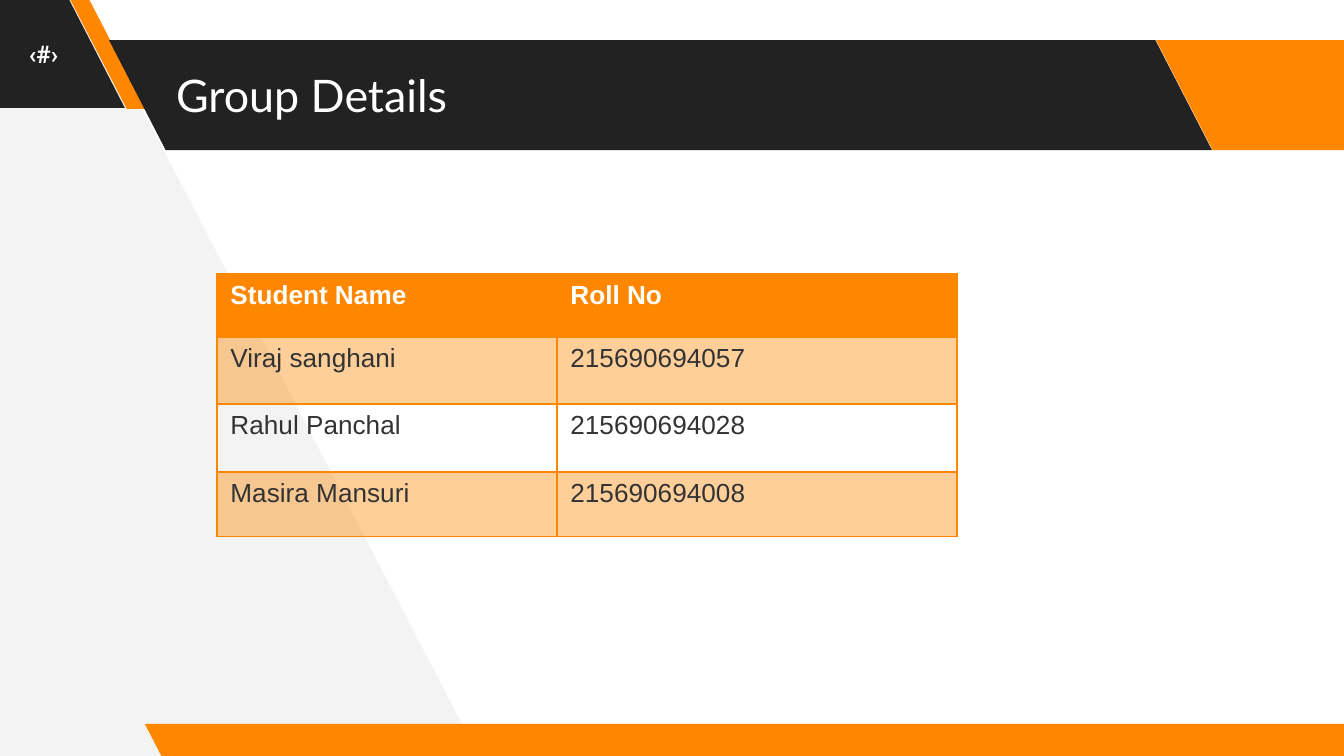
"""Build the group details slide with its banner and student table."""
from pptx import Presentation
from pptx import util as u
from pptx.dml.color import RGBColor
from pptx.enum import shapes, text
from pptx.oxml.ns import qn
from lxml import etree
from dataclasses import dataclass


@dataclass(frozen=True)
class Theme:
    dark: str = "222222"
    accent: str = "FF8700"
    pale: str = "F3F3F3"
    ink: str = "333333"
    white: str = "FFFFFF"
    title: int = 24
    number: int = 13
    body: int = 14
    line: float = 0.75
    tint: int = 40


T = Theme()
PX = 914400 / 134.4
SIZE = (1344, 756)
INSET = 13

TITLE = "Group Details"
NUMBER = "‹#›"
ROWS = [
    ("Student Name", "Roll No"),
    ("Viraj sanghani", "215690694057"),
    ("Rahul Panchal", "215690694028"),
    ("Masira Mansuri", "215690694008"),
]
WEDGE = [(478, 755), (83, -5), (-8, -5), (-3, 761)]
BARS = [
    ((-133, -3, 258, 111), 0.515, T.dark),
    ((70, -1, 76, 110), 0.75, T.accent),
    ((109, 40, 1103, 110), 0.515, T.dark),
    ((1156, 40, 258, 110), 0.515, T.accent),
    ((145, 724, 1230, 34), 0.515, T.accent),
]
TITLE_BOX = (163, 40, 988, 110)
NUMBER_BOX = (0, 0, 87, 108)
TABLE_AT = (217, 274)
COLS = [340, 400]
HEIGHTS = [63, 67, 68, 65]


def px(n):
    return u.Emu(round(n * PX))


def rgb(c):
    return RGBColor.from_string(c)


def paint(shape, color):
    shape.shadow.inherit = False
    shape.fill.solid()
    shape.fill.fore_color.rgb = rgb(color)
    shape.line.fill.background()


def style(frame, face, size, color, bold=False, align=text.PP_ALIGN.LEFT):
    for par in frame.paragraphs:
        par.alignment = align
        for run in par.runs:
            font = run.font
            font.name, font.size, font.bold = face, u.Pt(size), bold
            font.color.rgb = rgb(color)


def label(shape, box, words, *look, **more):
    shape.left, shape.top, shape.width, shape.height = map(px, box)
    frame = shape.text_frame
    frame.text = words
    frame.word_wrap = True
    frame.auto_size = text.MSO_AUTO_SIZE.NONE
    frame.vertical_anchor = text.MSO_ANCHOR.MIDDLE
    frame.margin_left = frame.margin_right = px(INSET)
    frame.margin_top = frame.margin_bottom = px(INSET)
    style(frame, *look, **more)


def border(cell, sides):
    props = cell._tc.get_or_add_tcPr()
    for side in sides:
        line = etree.SubElement(props, qn(f"a:ln{side}"), w=str(u.Pt(T.line)))
        fill = etree.SubElement(line, qn("a:solidFill"))
        etree.SubElement(fill, qn("a:srgbClr"), val=T.accent)


def shade(cell, row):
    if row and row % 2 == 0:
        cell.fill.background()
        return
    cell.fill.solid()
    cell.fill.fore_color.rgb = rgb(T.accent)
    if row:
        color = cell._tc.tcPr.find(".//" + qn("a:solidFill") + "[last()]/" + qn("a:srgbClr"))
        color = cell._tc.tcPr.findall(qn("a:solidFill"))[-1][0]
        etree.SubElement(color, qn("a:alpha"), val=str(T.tint * 1000))


def backdrop(slide):
    path = slide.shapes.build_freeform(*WEDGE[0], scale=PX)
    path.add_line_segments(WEDGE[1:], close=True)
    paint(path.convert_to_shape(), T.pale)
    for box, slant, color in BARS:
        bar = slide.shapes.add_shape(shapes.MSO_SHAPE.PARALLELOGRAM, *map(px, box))
        bar.adjustments[0] = slant
        bar._element.spPr.xfrm.set("flipH", "1")
        paint(bar, color)


def roster(slide):
    box = (*TABLE_AT, sum(COLS), sum(HEIGHTS))
    table = slide.shapes.add_table(len(ROWS), len(COLS), *map(px, box)).table
    table.horz_banding = False
    for col, width in zip(table.columns, COLS):
        col.width = px(width)
    for r, (words, height) in enumerate(zip(ROWS, HEIGHTS)):
        table.rows[r].height = px(height)
        for c, word in enumerate(words):
            cell = table.cell(r, c)
            cell.text = word
            head = r == 0
            style(cell.text_frame, "Arial", T.body, T.white if head else T.ink, head)
            border(cell, "LRTB")
            shade(cell, r)


def main():
    deck = Presentation()
    deck.slide_width, deck.slide_height = map(px, SIZE)
    slide = deck.slides.add_slide(deck.slide_layouts[5])
    slide.background.fill.solid()
    slide.background.fill.fore_color.rgb = rgb(T.white)
    backdrop(slide)
    title = slide.shapes.title
    slide.shapes._spTree.append(title._element)
    label(title, TITLE_BOX, TITLE, "Lato", T.title, T.white)
    number = slide.shapes.add_textbox(*map(px, NUMBER_BOX))
    label(number, NUMBER_BOX, NUMBER, "Roboto", T.number, T.white,
          bold=True, align=text.PP_ALIGN.CENTER)
    roster(slide)
    deck.save("out.pptx")


if __name__ == "__main__":
    main()
